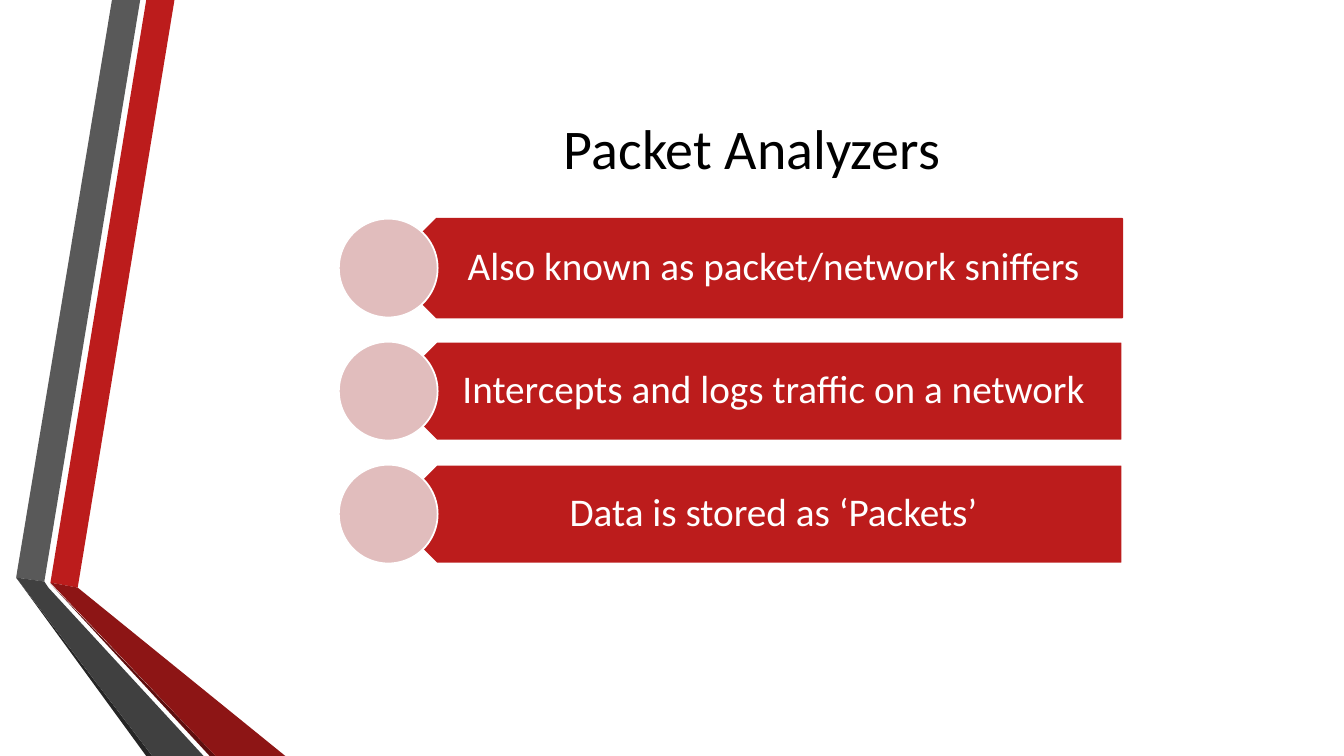
"""Build the "Packet Analyzers" slide: folded ribbons, a title and three labelled bars."""
from dataclasses import dataclass

from pptx import Presentation
from pptx import util as u
from pptx.dml.color import RGBColor
from pptx.enum import shapes, text

WIDTH, HEIGHT = u.Inches(13.33), u.Inches(7.5)
RED = RGBColor(0xBC, 0x1C, 0x1C)
DARK_RED = RGBColor(0x8D, 0x15, 0x15)
DEEP_RED = RGBColor(0x5E, 0x0E, 0x0E)
PINK = RGBColor(0xE1, 0xBD, 0xBD)
GREY = RGBColor(0x59, 0x59, 0x59)
DARK_GREY = RGBColor(0x40, 0x40, 0x40)
DEEP_GREY = RGBColor(0x26, 0x26, 0x26)
WHITE = RGBColor(0xFF, 0xFF, 0xFF)
BLACK = RGBColor(0x00, 0x00, 0x00)


@dataclass(frozen=True)
class Box:
    left: float
    top: float
    width: float
    height: float

    def emu(self) -> tuple[int, int, int, int]:
        return across(self.left), down(self.top), across(self.width), down(self.height)


@dataclass(frozen=True)
class Ribbon:
    color: RGBColor
    points: tuple[tuple[float, float], ...]


@dataclass(frozen=True)
class Bar:
    label: str
    outline: RGBColor


RIBBONS = (
    Ribbon(RED, ((3.75, 77.07), (5.78, 77.73), (12.98, 0), (10.88, 0))),
    Ribbon(GREY, ((10.43, 0), (8.33, 0), (1.2, 76.4), (3.3, 76.93))),
    Ribbon(DEEP_GREY, ((1.2, 76.4), (10.88, 100), (11.33, 100))),
    Ribbon(DEEP_RED, ((3.75, 77.2), (15.6, 100), (16.05, 100))),
    Ribbon(DARK_RED, ((3.75, 77.07), (16.05, 100), (21.23, 100), (5.78, 77.73))),
    Ribbon(DARK_GREY, ((15.15, 100), (3.6, 77.73), (3.3, 76.93), (1.2, 76.4), (11.33, 100))),
)
BARS = (
    Bar("Also known as packet/network sniffers ", RED),
    Bar("Intercepts and logs traffic on a network ", WHITE),
    Bar("Data is stored as ‘Packets’ ", WHITE),
)
TITLE_BOX = Box(14.85, 6.67, 82.22, 25.6)
FIRST_ROW, ROW_PITCH, ROW_HEIGHT = 28.93, 16.27, 13.07


def across(percent: float) -> int:
    return round(WIDTH * percent / 100)


def down(percent: float) -> int:
    return round(HEIGHT * percent / 100)


def draw_ribbon(slide, ribbon: Ribbon) -> None:
    start, *rest = [(across(x), down(y)) for x, y in ribbon.points]
    builder = slide.shapes.build_freeform(*start)
    builder.add_line_segments(rest, close=True)
    shape = builder.convert_to_shape()
    shape.shadow.inherit = False
    shape.fill.solid()
    shape.fill.fore_color.rgb = ribbon.color
    shape.line.fill.background()


def draw_shape(slide, kind: shapes.MSO_SHAPE, box: Box, fill: RGBColor, outline: RGBColor):
    shape = slide.shapes.add_shape(kind, *box.emu())
    shape.shadow.inherit = False
    shape.fill.solid()
    shape.fill.fore_color.rgb = fill
    shape.line.color.rgb = outline
    shape.line.width = u.Pt(1.25)
    return shape


def draw_text(slide, box: Box, words: str, size: int, color: RGBColor):
    frame = slide.shapes.add_textbox(*box.emu()).text_frame
    frame.word_wrap = True
    frame.vertical_anchor = text.MSO_ANCHOR.MIDDLE
    paragraph = frame.paragraphs[0]
    paragraph.alignment = text.PP_ALIGN.CENTER
    run = paragraph.add_run()
    run.text = words
    run.font.name = "Calibri"
    run.font.size = u.Pt(size)
    run.font.color.rgb = color
    return frame


def draw_bar(slide, bar: Bar, top: float) -> None:
    plate = draw_shape(slide, shapes.MSO_SHAPE.PENTAGON,
                       Box(28.81, top, 54.69, ROW_HEIGHT), RED, bar.outline)
    plate.rotation = 180
    frame = draw_text(slide, Box(30.68, top, 52.81, ROW_HEIGHT), bar.label, 28, WHITE)
    frame.margin_left, frame.margin_right = across(3.23), across(1.65)
    frame.margin_top = frame.margin_bottom = down(1.6)
    frame.paragraphs[0].line_spacing = 0.9
    draw_shape(slide, shapes.MSO_SHAPE.OVAL, Box(25.21, top, 7.35, ROW_HEIGHT), PINK, WHITE)


def main() -> None:
    presentation = Presentation()
    presentation.slide_width, presentation.slide_height = WIDTH, HEIGHT
    slide = presentation.slides.add_slide(presentation.slide_layouts[6])
    for ribbon in RIBBONS:
        draw_ribbon(slide, ribbon)
    draw_text(slide, TITLE_BOX, "Packet Analyzers", 40, BLACK)
    for row, bar in enumerate(BARS):
        draw_bar(slide, bar, FIRST_ROW + row * ROW_PITCH)
    presentation.save("out.pptx")


if __name__ == "__main__":
    main()
